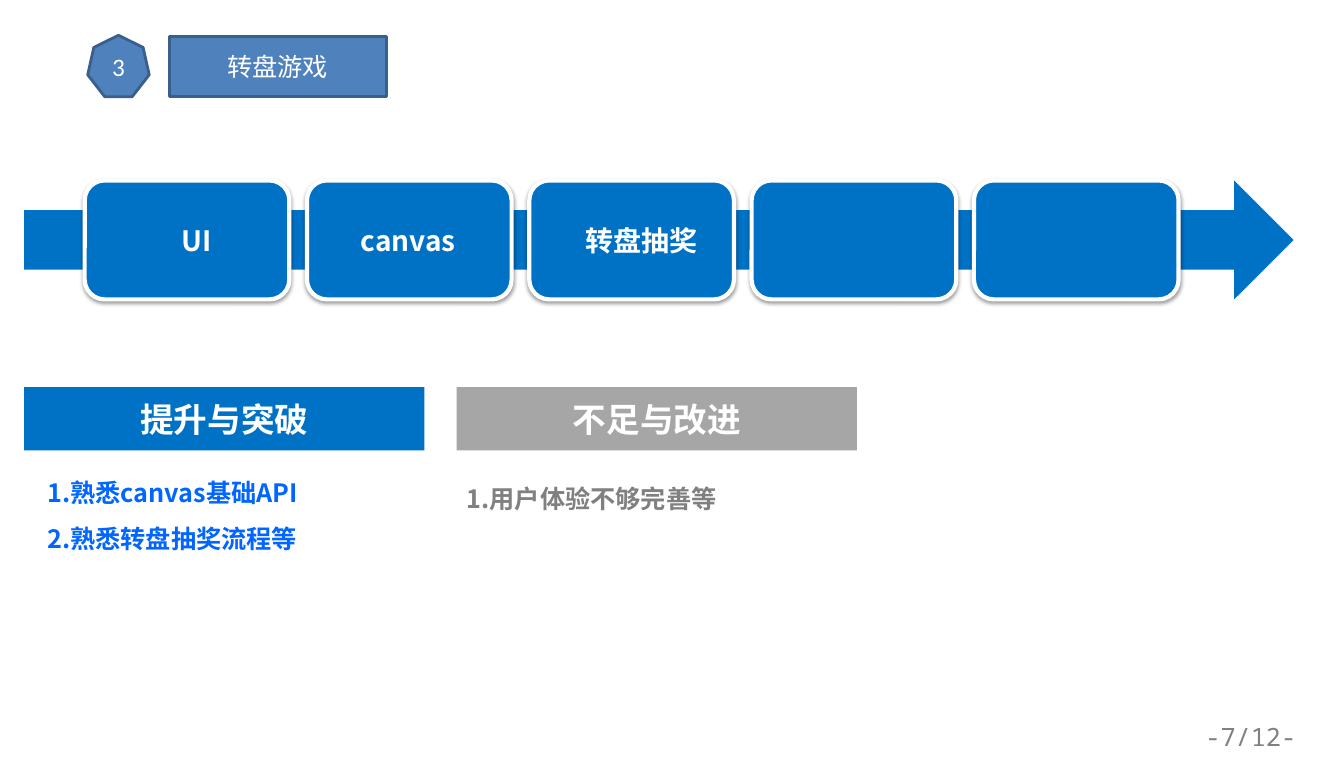
import pptx
import pptx.util
import pptx.dml.color
import pptx.enum.shapes
import pptx.enum.text
import pptx.oxml
import pptx.oxml.ns

Inches = pptx.util.Inches
SHAPES = pptx.enum.shapes.MSO_SHAPE
ALIGN = pptx.enum.text.PP_ALIGN
CJK = "Noto Sans CJK SC"
COLORS = {
    "blue": "0072C6", "badge": "4F81BD", "badge_edge": "3A5F8C",
    "link": "0066FF", "silver": "A6A6A6", "gray": "808080", "white": "FFFFFF",
}


def rgb(name):
    return pptx.dml.color.RGBColor.from_string(COLORS[name])


def write(shape, lines, size, color, font=CJK, bold=False, align=ALIGN.CENTER, spacing=None):
    """Fill a shape's text frame, one paragraph per line."""
    frame = shape.text_frame
    frame.word_wrap = True
    for number, line in enumerate(lines):
        para = frame.add_paragraph() if number else frame.paragraphs[0]
        para.alignment = align
        para.line_spacing = spacing
        span = para.add_run()
        span.text = line
        look = {"size": pptx.util.Pt(size), "name": font, "bold": bold}
        for key, value in look.items():
            setattr(span.font, key, value)
        span.font.color.rgb = rgb(color)
        east = span.font._element.makeelement(pptx.oxml.ns.qn("a:ea"), {"typeface": CJK})
        span.font._element.find(pptx.oxml.ns.qn("a:latin")).addnext(east)


def add_block(page, kind, box, fill, edge=None, width=0):
    shape = page.shapes.add_shape(kind, *map(Inches, box))
    shape.fill.solid()
    shape.fill.fore_color.rgb = rgb(fill)
    if edge:
        shape.line.color.rgb = rgb(edge)
        shape.line.width = pptx.util.Pt(width)
    else:
        shape.line.fill.background()
    shape.shadow.inherit = False
    shape.text_frame.vertical_anchor = pptx.enum.text.MSO_ANCHOR.MIDDLE
    return shape


def add_label(page, box, lines, size, color, **style):
    label = page.shapes.add_textbox(*map(Inches, box))
    write(label, lines, size, color, **style)
    label.text_frame.auto_size = pptx.enum.text.MSO_AUTO_SIZE.SHAPE_TO_FIT_TEXT


def add_soft_shadow(shape):
    effects = shape._element.spPr.find(pptx.oxml.ns.qn("a:effectLst"))
    effects.append(pptx.oxml.parse_xml(
        f'<a:outerShdw {pptx.oxml.ns.nsdecls("a")} blurRad="{pptx.util.Pt(3.1)}" '
        f'dist="{pptx.util.Pt(1.6)}" dir="5400000" rotWithShape="0">'
        '<a:srgbClr val="000000"><a:alpha val="38000"/></a:srgbClr></a:outerShdw>'))


def add_heading(page, left, top, number, title):
    parts = [
        (SHAPES.HEPTAGON, (left, top, 0.61, 0.61), number),
        (SHAPES.RECTANGLE, (left + 0.81, top + 0.01, 2.15, 0.6), title),
    ]
    for kind, box, text in parts:
        write(add_block(page, kind, box, "badge", "badge_edge", 2), [text], 18, "white", "Calibri")


def add_process(page, left, top, width, height, steps):
    """Arrow with a row of cards; each step is its text and label offset and width."""
    add_block(page, SHAPES.RIGHT_ARROW, (left, top, width, height), "blue")
    first, pitch = left + 0.6, 2.205
    for index in range(5):
        card = add_block(page, SHAPES.ROUNDED_RECTANGLE,
                         (first + index * pitch, top, 2.03, height), "blue", "white", 3)
        add_soft_shadow(card)
    for index, (text, offset, label_width) in enumerate(steps):
        add_label(page, (first + index * pitch + offset, top + 0.38, label_width, 0.44),
                  [text], 20, "white", bold=True)


def add_summary(page, left, top, width, title, fill, points, color, body):
    """Title bar with points; body is their box relative to the bar's corner."""
    bar = add_block(page, SHAPES.RECTANGLE, (left, top, width, 0.63), fill)
    write(bar, [title], 24, "white", "Calibri", bold=True)
    across, down, body_width, body_height = body
    add_label(page, (left + across, top + down, body_width, body_height), points, 18, color,
              bold=True, align=ALIGN.LEFT, spacing=1.5)


def main():
    deck = pptx.Presentation()
    deck.slide_width, deck.slide_height = Inches(13.33), Inches(7.52)
    page = deck.slides.add_slide(deck.slide_layouts[6])
    add_label(page, (11.46, 7.11, 1.89, 0.4), ["-7/12-"], 18, "gray", font="Noto Sans Mono")
    add_process(page, 0.24, 1.79, 12.59, 1.18,
                [("UI", 0.39, 1.44), ("canvas", 0.17, 1.67), ("转盘抽奖", 0.39, 1.44)])
    add_heading(page, 0.87, 0.35, "3", "转盘游戏")
    add_summary(page, 0.24, 3.84, 3.97, "提升与突破", "blue",
                ["1.熟悉canvas基础API", "2.熟悉转盘抽奖流程等"], "link", (0.13, 0.7, 3.69, 0.96))
    add_summary(page, 4.53, 3.84, 3.97, "不足与改进", "silver",
                ["1.用户体验不够完善等"], "gray", (0, 0.76, 3.97, 0.5))
    deck.save("out.pptx")


if __name__ == "__main__":
    main()
